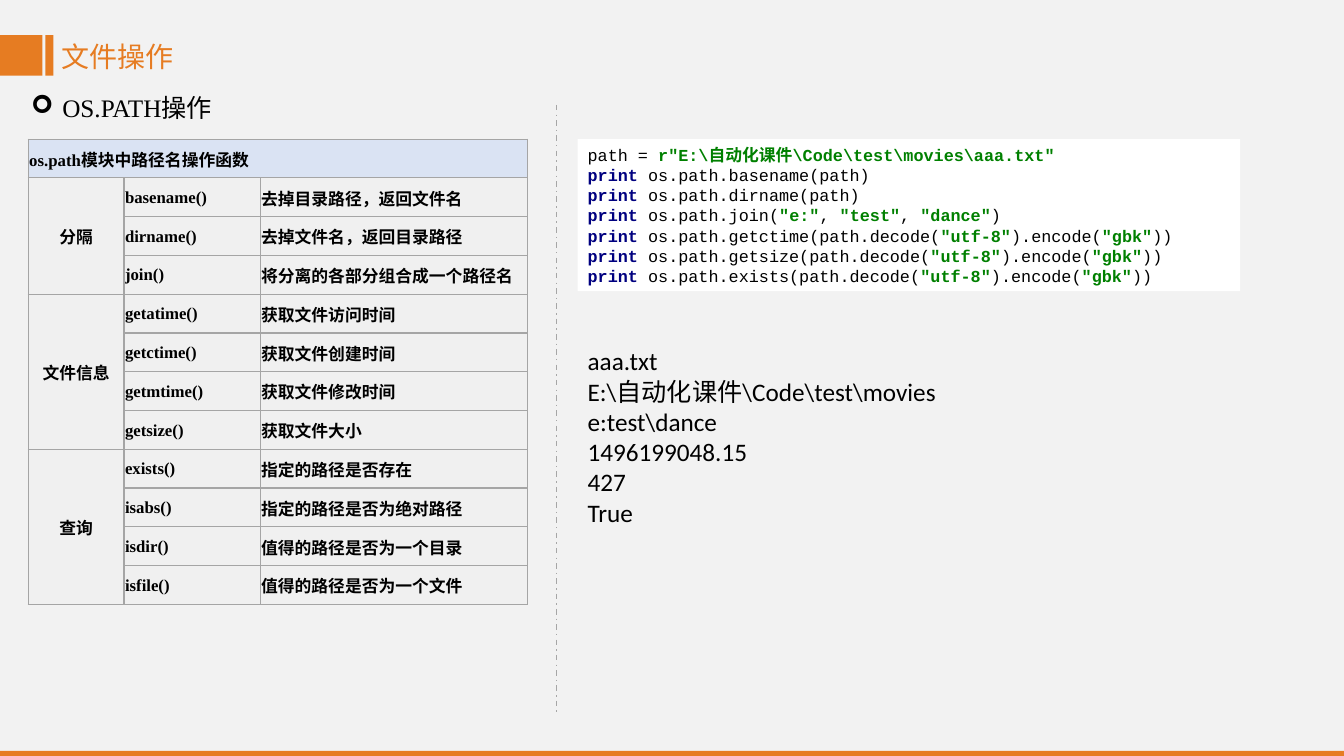
from lxml.etree import SubElement
from pptx import Presentation
from pptx.dml.color import RGBColor
from pptx.enum.dml import MSO_LINE
from pptx.enum.shapes import MSO_CONNECTOR, MSO_SHAPE
from pptx.enum.text import MSO_ANCHOR, PP_ALIGN
from pptx.oxml.ns import qn
from pptx.util import Inches, Pt

ORANGE = RGBColor(0xE6, 0x7C, 0x22)
BACKGROUND = RGBColor(0xF2, 0xF2, 0xF2)
BLACK = RGBColor(0, 0, 0)
WHITE = RGBColor(0xFF, 0xFF, 0xFF)
GREEN = RGBColor(0, 0x80, 0)
NAVY = RGBColor(0, 0, 0x80)
DIVIDER_GRAY = RGBColor(0xA6, 0xA6, 0xA6)
BORDER_GRAY = RGBColor(0xA5, 0xA5, 0xA5)
HEADER_BLUE = RGBColor(0xDA, 0xE3, 0xF3)
CELL_GRAY = RGBColor(0xF0, 0xF0, 0xF0)
CHINESE_FONT = "Noto Sans CJK SC"

TITLE = {"name": CHINESE_FONT, "size": Pt(20), "color": ORANGE}
HEADING = {"name": "Times New Roman", "size": Pt(18), "color": BLACK}
CELL = {"name": "Times New Roman", "size": Pt(12), "color": BLACK, "bold": True}
OUTPUT = {"name": "Calibri", "size": Pt(18), "color": BLACK}
PLAIN = {"name": "Courier New", "size": Pt(12), "color": BLACK}
STRING = {**PLAIN, "color": GREEN, "bold": True}
KEYWORD = {**PLAIN, "color": NAVY, "bold": True}

TABLE_HEADER = "os.path模块中路径名操作函数"
FUNCTION_GROUPS = {
    "分隔": [
        ("basename()", "去掉目录路径，返回文件名"),
        ("dirname()", "去掉文件名，返回目录路径"),
        ("join()", "将分离的各部分组合成一个路径名"),
    ],
    "文件信息": [
        ("getatime()", "获取文件访问时间"),
        ("getctime()", "获取文件创建时间"),
        ("getmtime()", "获取文件修改时间"),
        ("getsize()", "获取文件大小"),
    ],
    "查询": [
        ("exists()", "指定的路径是否存在"),
        ("isabs()", "指定的路径是否为绝对路径"),
        ("isdir()", "值得的路径是否为一个目录"),
        ("isfile()", "值得的路径是否为一个文件"),
    ],
}
SAMPLE_PATH = r'r"E:\自动化课件\Code\test\movies\aaa.txt"'
PRINTED_CALLS = [
    "basename(path)",
    "dirname(path)",
    'join("e:", "test", "dance")',
    'getctime(path.decode("utf-8").encode("gbk"))',
    'getsize(path.decode("utf-8").encode("gbk"))',
    'exists(path.decode("utf-8").encode("gbk"))',
]
OUTPUT_LINES = [
    "aaa.txt", r"E:\自动化课件\Code\test\movies", r"e:test\dance",
    "1496199048.15", "427", "True",
]


def add_span(para, text, style):
    """Add a run of text with the given font values."""
    span = para.add_run()
    span.text = text
    for name, value in style.items():
        if name == "color":
            span.font.color.rgb = value
        else:
            setattr(span.font, name, value)
    east_asian = SubElement(span.font._element, qn("a:ea"))
    east_asian.set("typeface", CHINESE_FONT)


def add_block(page, left, top, width, height, color):
    """Add a plain filled rectangle."""
    block = page.shapes.add_shape(
        MSO_SHAPE.RECTANGLE, Inches(left), Inches(top), Inches(width), Inches(height))
    block.shadow.inherit = False
    block.fill.solid()
    block.fill.fore_color.rgb = color
    block.line.fill.background()
    return block


def add_text(page, left, top, width, height, lines, style, wrap=True):
    """Add a text box with one paragraph per line."""
    box = page.shapes.add_textbox(
        Inches(left), Inches(top), Inches(width), Inches(height))
    frame = box.text_frame
    frame.word_wrap = wrap
    for index, line in enumerate(lines):
        para = frame.add_paragraph() if index else frame.paragraphs[0]
        add_span(para, line, style)
    return box


def add_bulleted_heading(page, text):
    """Add the section heading with its arrow bullet."""
    box = add_text(page, 0.21, 0.72, 5.47, 0.5, [text], HEADING)
    para = box.text_frame.paragraphs[0]
    para.line_spacing = 1.5
    properties = para._p.get_or_add_pPr()
    properties.set("marL", str(Inches(0.31)))
    properties.set("indent", str(-Inches(0.31)))
    SubElement(properties, qn("a:buFont")).set("typeface", "Wingdings")
    SubElement(properties, qn("a:buChar")).set("char", "➢")


def add_divider(page):
    """Add the vertical dash-dot line between the two halves."""
    divider = page.shapes.add_connector(
        MSO_CONNECTOR.STRAIGHT, Inches(5.52), Inches(1.04), Inches(5.52), Inches(7.1))
    divider.line.color.rgb = DIVIDER_GRAY
    divider.line.width = Pt(1)
    divider.line.dash_style = MSO_LINE.DASH_DOT
    SubElement(divider._element.spPr, qn("a:effectLst"))


def format_cell(cell, color):
    """Give a cell its margins, anchor, borders and fill."""
    values = {
        "margin_left": Inches(0.01), "margin_right": Inches(0.01),
        "margin_top": Inches(0.01), "margin_bottom": 0,
        "vertical_anchor": MSO_ANCHOR.MIDDLE,
    }
    for name, value in values.items():
        setattr(cell, name, value)
    properties = cell._tc.get_or_add_tcPr()
    for side in ("lnL", "lnR", "lnT", "lnB"):
        border = SubElement(properties, qn(f"a:{side}"), w=str(Pt(1)))
        fill = SubElement(border, qn("a:solidFill"))
        SubElement(fill, qn("a:srgbClr"), val=str(BORDER_GRAY))
    cell.fill.solid()
    cell.fill.fore_color.rgb = color


def write_cell(cell, text, alignment=PP_ALIGN.LEFT):
    """Write bold text into a table cell."""
    para = cell.text_frame.paragraphs[0]
    para.alignment = alignment
    add_span(para, text, CELL)


def add_function_table(page):
    """Add the table of functions, with one merged cell per group."""
    row_count = 1 + sum(len(group) for group in FUNCTION_GROUPS.values())
    table = page.shapes.add_table(
        row_count, 3, Inches(0.28), Inches(1.38), Inches(4.95), Inches(4.62)).table
    table.first_row = table.horz_banding = False
    for column, width in zip(table.columns, (0.95, 1.35, 2.65)):
        column.width = Inches(width)
    for index, row in enumerate(table.rows):
        for cell in row.cells:
            format_cell(cell, CELL_GRAY if index else HEADER_BLUE)
    table.cell(0, 0).merge(table.cell(0, 2))
    write_cell(table.cell(0, 0), TABLE_HEADER)
    first = 1
    for name, functions in FUNCTION_GROUPS.items():
        table.cell(first, 0).merge(table.cell(first + len(functions) - 1, 0))
        write_cell(table.cell(first, 0), name, PP_ALIGN.CENTER)
        for row, texts in enumerate(functions, first):
            for column, text in enumerate(texts, 1):
                write_cell(table.cell(row, column), text)
        first += len(functions)


def add_code(page):
    """Add the white code panel with coloured keywords and strings."""
    panel = add_block(page, 5.73, 1.38, 6.57, 1.51, WHITE)
    panel.text_frame.word_wrap = True
    panel.text_frame.vertical_anchor = MSO_ANCHOR.MIDDLE
    para = panel.text_frame.paragraphs[0]
    para.alignment = PP_ALIGN.LEFT
    add_span(para, "path = ", PLAIN)
    add_span(para, SAMPLE_PATH, STRING)
    for call in PRINTED_CALLS:
        para.add_line_break()
        add_span(para, "print ", KEYWORD)
        for index, part in enumerate(f"os.path.{call}".split('"')):
            if index % 2:
                add_span(para, f'"{part}"', STRING)
            else:
                add_span(para, part, PLAIN)


def main():
    """Build the slide and save it."""
    deck = Presentation()
    deck.slide_width, deck.slide_height = Inches(13.33), Inches(7.5)
    page = deck.slides.add_slide(deck.slide_layouts[6])
    page.background.fill.solid()
    page.background.fill.fore_color.rgb = BACKGROUND
    add_block(page, -0.01, 0.35, 0.43, 0.4, ORANGE)
    add_block(page, 0.45, 0.35, 0.08, 0.4, ORANGE)
    add_text(page, 0.51, 0.34, 1.32, 0.44, ["文件操作"], TITLE, wrap=False)
    add_block(page, 0, 7.45, 13.33, 0.08, ORANGE)
    add_bulleted_heading(page, "OS.PATH操作")
    add_divider(page)
    add_function_table(page)
    add_code(page)
    add_text(page, 5.73, 3.38, 4.91, 1.92, OUTPUT_LINES, OUTPUT)
    deck.save("out.pptx")


if __name__ == "__main__":
    main()
